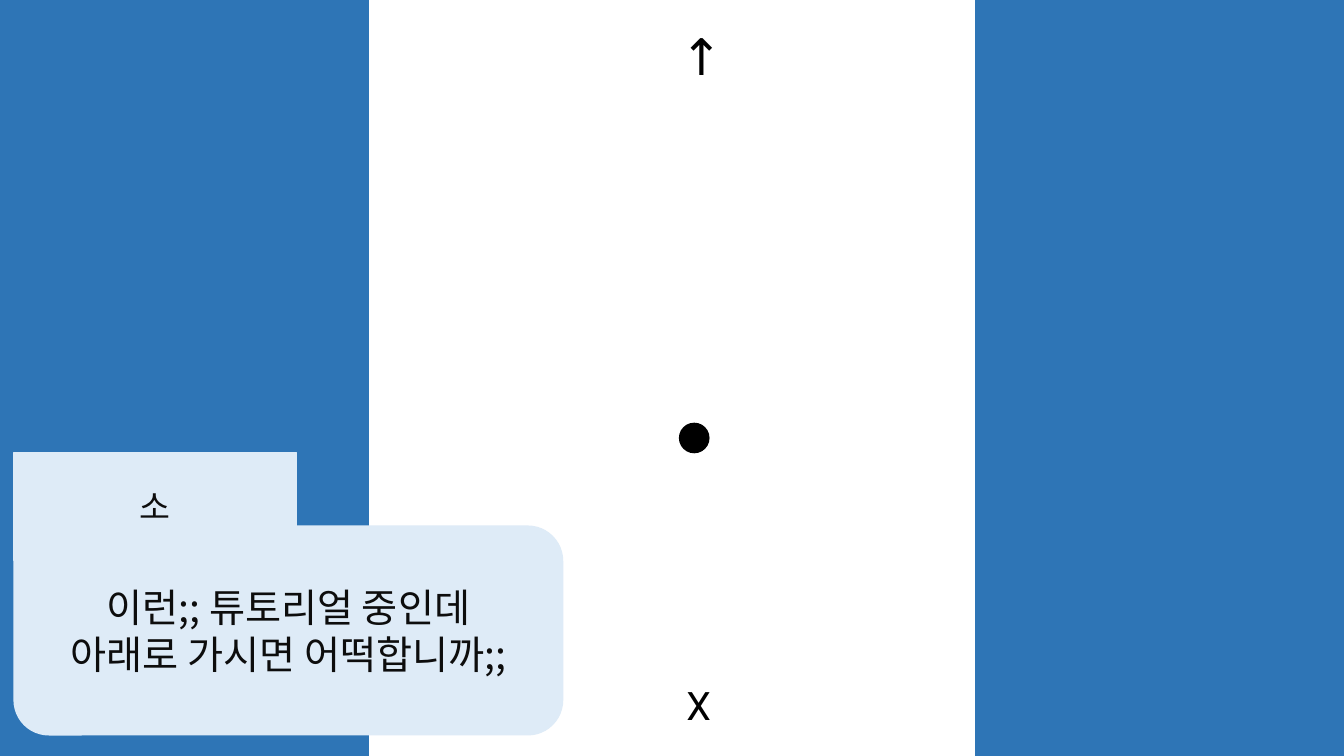
from dataclasses import dataclass

from lxml.etree import SubElement
from pptx import Presentation
from pptx.dml.color import RGBColor
from pptx.enum.shapes import MSO_SHAPE
from pptx.enum.text import MSO_ANCHOR, MSO_AUTO_SIZE, PP_ALIGN
from pptx.oxml.ns import qn
from pptx.util import Inches, Pt


@dataclass(frozen=True)
class Theme:
    """Colours, fonts and type sizes of the slide."""
    wall: str = "2E75B6"
    bubble: str = "DEEBF7"
    ink: str = "0D0D0D"
    black: str = "000000"
    korean: str = "Noto Sans CJK KR"
    latin: str = "Roboto"
    arrow: int = 36
    speech: int = 28
    name: int = 24


THEME = Theme()
SLIDE_W, SLIDE_H = 13.33, 7.5


def add_run(p, text, font, size, color):
    """Add one formatted run to a paragraph."""
    r = p.add_run()
    r.text = text
    r.font.name = font
    r.font.size = Pt(size)
    r.font.color.rgb = RGBColor.from_string(color)
    SubElement(r.font._element, qn("a:ea")).set("typeface", font)


def add_block(s, kind, box, color):
    """Add a preset shape with matching fill and line."""
    sp = s.shapes.add_shape(kind, *map(Inches, box))
    sp.shadow.inherit = False
    sp.fill.solid()
    sp.fill.fore_color.rgb = RGBColor.from_string(color)
    sp.line.color.rgb = RGBColor.from_string(color)
    sp.line.width = Pt(1)
    return sp


def add_panel(s, kind, box, lines, size):
    """Add a pale panel with centred lines of Korean text."""
    tf = add_block(s, kind, box, THEME.bubble).text_frame
    tf.word_wrap = True
    tf.vertical_anchor = MSO_ANCHOR.MIDDLE
    p = tf.paragraphs[0]
    p.alignment = PP_ALIGN.CENTER
    for i, line in enumerate(lines):
        if i:
            p.add_line_break()
        add_run(p, line, THEME.korean, size, THEME.ink)


def add_mark(s, box, text, size):
    """Add a single direction mark in an unwrapped text box."""
    tf = s.shapes.add_textbox(*map(Inches, box)).text_frame
    tf.word_wrap = False
    tf.auto_size = MSO_AUTO_SIZE.SHAPE_TO_FIT_TEXT
    add_run(tf.paragraphs[0], text, THEME.latin, size, THEME.black)


def add_corridor(s, x, y, w, h):
    """Place the two walls, the player dot and the upward mark."""
    wall_w = 3.65
    for left in (x + w - wall_w, x):
        add_block(s, MSO_SHAPE.RECTANGLE, (left, y, wall_w, h), THEME.wall)
    add_block(s, MSO_SHAPE.OVAL, (x + 6.74, y + 4.2, 0.29, 0.29), THEME.black)
    add_mark(s, (x + 6.65, y + 0.2, 0.48, 0.71), "↑", THEME.arrow)


def add_dialogue(s, x, y, w, h):
    """Place the speech bubble and the speaker's name tab."""
    drop = 0.73
    add_panel(s, MSO_SHAPE.ROUNDED_RECTANGLE, (x, y + drop, w, h - drop),
              ("이런;; 튜토리얼 중인데", "아래로 가시면 어떡합니까;;"), THEME.speech)
    add_panel(s, MSO_SHAPE.RECTANGLE, (x, y, 2.8, 1.07), ("소",), THEME.name)


def main():
    """Build and save the slide."""
    prs = Presentation()
    prs.slide_width, prs.slide_height = Inches(SLIDE_W), Inches(SLIDE_H)
    s = prs.slides.add_slide(prs.slide_layouts[6])
    add_corridor(s, 0, 0, SLIDE_W, SLIDE_H)
    add_dialogue(s, 0.14, 4.49, 5.44, 2.8)
    add_mark(s, (6.71, 6.71, 0.42, 0.57), "X", THEME.speech)
    prs.save("out.pptx")


if __name__ == "__main__":
    main()
